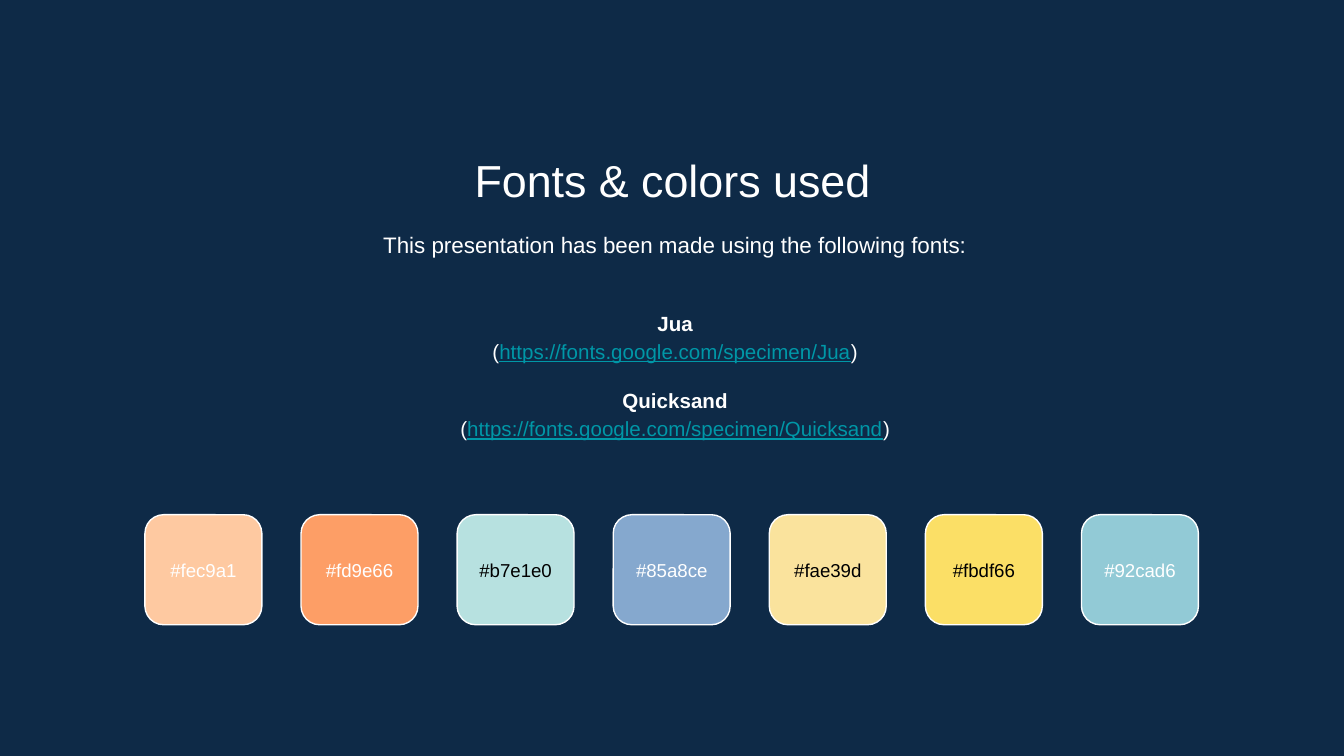
from pptx import Presentation
from pptx.dml.color import RGBColor
from pptx.enum.shapes import MSO_SHAPE as Shape
from pptx.enum.text import MSO_ANCHOR as Anchor, PP_ALIGN as Align
from pptx.util import Cm, Pt

NAVY = RGBColor(0x0E, 0x2A, 0x47)
WHITE = RGBColor(0xFF, 0xFF, 0xFF)
BLACK = RGBColor(0x00, 0x00, 0x00)
TEAL = RGBColor(0x00, 0x97, 0xA7)

PEACH = RGBColor(0xFE, 0xC9, 0xA1)
ORANGE = RGBColor(0xFD, 0x9E, 0x66)
MINT = RGBColor(0xB7, 0xE1, 0xE0)
BLUE = RGBColor(0x85, 0xA8, 0xCE)
CREAM = RGBColor(0xFA, 0xE3, 0x9D)
YELLOW = RGBColor(0xFB, 0xDF, 0x66)
AQUA = RGBColor(0x92, 0xCA, 0xD6)

SWATCHES = [(PEACH, WHITE), (ORANGE, WHITE), (MINT, BLACK), (BLUE, WHITE),
            (CREAM, BLACK), (YELLOW, BLACK), (AQUA, WHITE)]
FONTS = ["Jua", "Quicksand"]
LEFT, TOP, STEP = 2.74, 9.73, 2.95
WIDE, HIGH = 2.21, 2.08


def assign(item, values):
    for name, value in values.items():
        setattr(item, name, value)


def add_box(slide, left, top, width, height, anchor=Anchor.TOP):
    """Add an empty text box and return its text frame."""
    box = slide.shapes.add_textbox(Cm(left), Cm(top), Cm(width), Cm(height))
    frame = box.text_frame
    sides = ("left", "top", "right", "bottom")
    assign(frame, {f"margin_{side}": Cm(0.25) for side in sides})
    assign(frame, {"word_wrap": True, "vertical_anchor": anchor})
    return frame


def add_run(para, text, size, color=WHITE, **style):
    run = para.add_run()
    run.text = text
    assign(run.font, {"name": "Arial", "size": Pt(size), **style})
    run.font.color.rgb = color


def add_line(frame, text, size, color=WHITE, spacing=1.0):
    """Fill the first paragraph of a frame with one centred line."""
    para = frame.paragraphs[0]
    assign(para, {"alignment": Align.CENTER, "line_spacing": spacing})
    add_run(para, text, size, color)


def add_fonts(slide):
    """List each font name in bold, with its address below."""
    frame = add_box(slide, 2.97, 5.33, 19.58, 3.48, Anchor.MIDDLE)
    for i, name in enumerate(FONTS):
        head = frame.add_paragraph() if i else frame.paragraphs[0]
        link = frame.add_paragraph()
        for para in (head, link):
            assign(para, {"alignment": Align.CENTER, "line_spacing": 1.15})
        if i:
            head.space_before = Pt(11)
        add_run(head, name, 11, bold=True)
        add_run(link, "(", 11)
        add_run(link, f"https://fonts.google.com/specimen/{name}", 11, TEAL,
                underline=True)
        add_run(link, ")", 11)


def add_swatch(slide, left, fill, ink):
    tile = slide.shapes.add_shape(Shape.ROUNDED_RECTANGLE, Cm(left), Cm(TOP),
                                  Cm(WIDE), Cm(HIGH))
    tile.shadow.inherit = False
    tile.adjustments[0] = 0.17
    tile.fill.solid()
    tile.fill.fore_color.rgb = fill
    tile.line.color.rgb = WHITE
    tile.line.width = Pt(0.75)
    label = add_box(slide, left, 10.16, WIDE, 1.22, Anchor.MIDDLE)
    add_line(label, f"#{fill}".lower(), 10, ink)


def main():
    deck = Presentation()
    assign(deck, {"slide_width": Cm(25.4), "slide_height": Cm(14.29)})
    slide = deck.slides.add_slide(deck.slide_layouts[6])
    back = slide.background.fill
    back.solid()
    back.fore_color.rgb = NAVY

    title = add_box(slide, 2.92, 2.64, 19.58, 1.35)
    add_line(title, "Fonts & colors used", 24)
    intro = add_box(slide, 2.97, 4.04, 19.58, 1.22)
    add_line(intro, "This presentation has been made using the following fonts:",
             12, spacing=1.15)
    add_fonts(slide)
    for i, (fill, ink) in enumerate(SWATCHES):
        add_swatch(slide, LEFT + i * STEP, fill, ink)
    deck.save("out.pptx")


if __name__ == "__main__":
    main()
